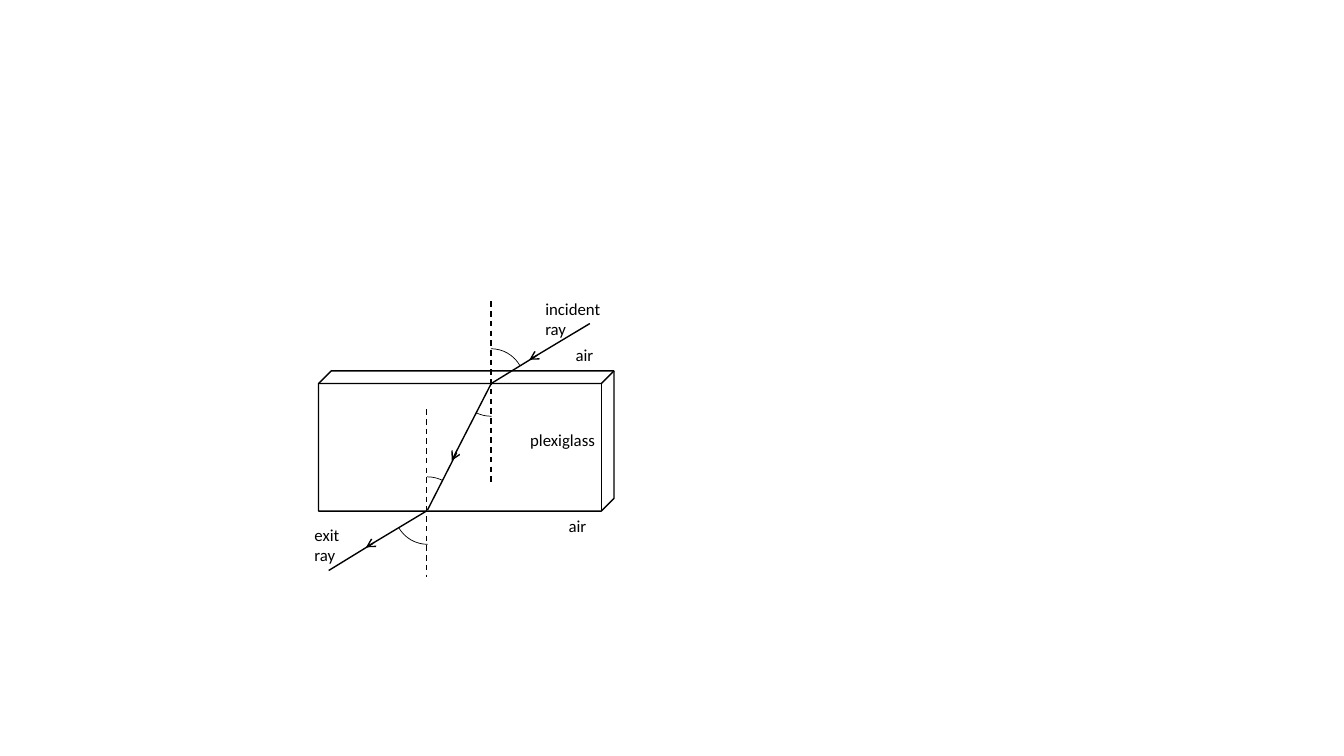
from pptx import Presentation
from pptx.dml.color import RGBColor
from pptx.enum.dml import MSO_LINE
from pptx.enum.shapes import MSO_CONNECTOR, MSO_SHAPE
from pptx.oxml.ns import qn
from pptx.util import Inches, Pt
from lxml import etree

BLACK = RGBColor(0, 0, 0)
STRAIGHT = MSO_CONNECTOR.STRAIGHT
DASH = MSO_LINE.DASH
ARC = MSO_SHAPE.ARC
CUBE = MSO_SHAPE.CUBE

BLOCK = (3.16, 3.68, 2.93, 1.39)
BLOCK_DEPTH = 0.09
NORMALS = [
    ((4.87, 2.99), (4.87, 4.8)),
    ((4.23, 4.06), (4.23, 5.72)),
]
RAYS = [
    ((5.85, 3.21), (5.25, 3.57), (5.32, 3.53), (4.88, 3.8)),
    ((4.87, 3.81), (4.48, 4.57), (4.53, 4.49), (4.24, 5.06)),
    ((4.23, 5.07), (3.63, 5.43), (3.7, 5.39), (3.26, 5.66)),
]
ARC_SIZE = 0.66
OUTER_ANGLE = (162, 198.54)
INNER_ANGLE = (53.45, 69.76)
ANGLES = [
    (4.54, 3.46, OUTER_ANGLE, 0),
    (4.54, 3.47, INNER_ANGLE, 0),
    (3.91, 4.73, INNER_ANGLE, 180),
    (3.91, 4.74, OUTER_ANGLE, 180),
]
LABELS = [
    ("air", 5.54, 5.07, 0.42, 0.3),
    ("air", 5.61, 3.37, 0.42, 0.3),
    ("plexiglass", 5.16, 4.21, 0.94, 0.3),
    ("incident ray", 5.31, 2.91, 0.94, 0.5),
    ("exit ray", 3.02, 5.16, 0.48, 0.5),
]


def add_outline(page, kind, place, adjustments, width):
    shape = page.shapes.add_shape(kind, *map(Inches, place))
    shape.shadow.inherit = False
    shape.fill.background()
    shape.line.color.rgb = BLACK
    shape.line.width = Pt(width)
    for index, value in enumerate(adjustments):
        shape.adjustments[index] = value
    return shape


def add_line(page, start, end, dashed=False, arrow=False):
    connector = page.shapes.add_connector(STRAIGHT, *map(Inches, start + end))
    connector.line.color.rgb = BLACK
    connector.line.width = Pt(1)
    if dashed:
        connector.line.dash_style = DASH
    if arrow:
        outline = connector.line._get_or_add_ln()
        etree.SubElement(outline, qn("a:tailEnd"), type="arrow")
    etree.SubElement(connector._element.spPr, qn("a:effectLst"))


def add_label(page, text, *place):
    box = page.shapes.add_textbox(*map(Inches, place))
    box.text_frame.word_wrap = True
    para = box.text_frame.paragraphs[0]
    para.text = text
    para.font.name = "Calibri"
    para.font.size = Pt(12)
    para.font.color.rgb = BLACK


def main():
    deck = Presentation()
    deck.slide_width = Inches(13.33)
    deck.slide_height = Inches(7.5)
    page = deck.slides.add_slide(deck.slide_layouts[6])

    add_outline(page, CUBE, BLOCK, [BLOCK_DEPTH], 1)
    for start, end in NORMALS:
        add_line(page, start, end, dashed=True)
    for start, arrow_tip, rest_start, end in RAYS:
        add_line(page, rest_start, end)
        add_line(page, start, arrow_tip, arrow=True)
    for left, top, angle, rotation in ANGLES:
        arc = add_outline(page, ARC, (left, top, ARC_SIZE, ARC_SIZE), angle, 0.5)
        arc.rotation = rotation
    for label in LABELS:
        add_label(page, *label)

    deck.save("out.pptx")


if __name__ == "__main__":
    main()
